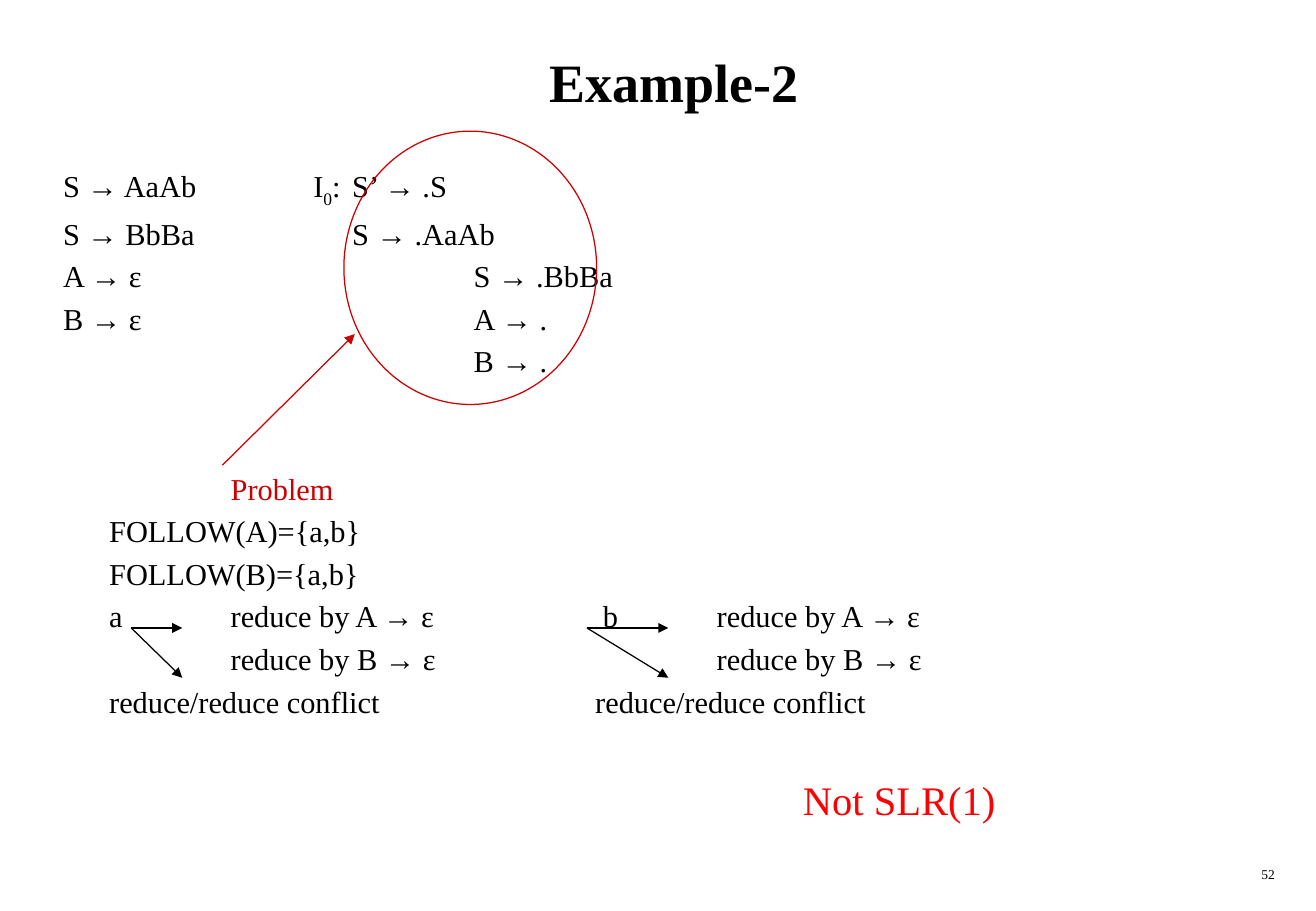
from pptx import Presentation
from pptx.dml.color import RGBColor as RGB
from pptx.enum.shapes import MSO_CONNECTOR as Conn, MSO_SHAPE as Shape
from pptx.enum.text import MSO_ANCHOR as Anchor, PP_ALIGN as Align
from pptx.oxml.ns import qn
from pptx.util import Inches, Pt
from lxml import etree

BLACK, DARK, RED = "000000", "CC0000", "FF0000"

deck = Presentation()
deck.slide_width, deck.slide_height = Inches(10.83), Inches(7.5)
slide = deck.slides.add_slide(deck.slide_layouts[6])


def frame(x, y, w, h):
    text = slide.shapes.add_textbox(*map(Inches, (x, y, w, h))).text_frame
    text.word_wrap = True
    return text


def write(para, text, size, color=BLACK):
    run = para.add_run()
    run.text = text
    font = run.font
    font.name, font.size = "Times New Roman", Pt(size)
    font.color.rgb = RGB.from_string(color)
    return font


number = frame(8.33, 7.08, 2.26, 0.25).paragraphs[0]
number.alignment = Align.RIGHT
write(number, "52", 8)

title = frame(0.42, 0.17, 10.25, 1)
title.vertical_anchor = Anchor.MIDDLE
title.paragraphs[0].alignment = Align.CENTER
write(title.paragraphs[0], "Example-2", 32).bold = True

body = frame(0.42, 1.33, 10.25, 5.58)
near, far = [2.38], [3.38]
split = [0.38, 1.38, 4.38, 5.38]
lines = [
    (["S → AaAb\tI", "0", ":\tS’ → .S"], [2.06, 2.38]),
    (["S → BbBa\tS → .AaAb"], near),
    (["A → ε\tS → .BbBa"], far),
    (["B → ε\tA → ."], far),
    (["\tB → ."], far),
    (["\tProblem"], [1.38]),
    (["\tFOLLOW(A)={a,b}"], split),
    (["\tFOLLOW(B)={a,b}"], split),
    (["\ta\treduce by A → ε\t b\treduce by A → ε"], split),
    (["\treduce by B → ε\treduce by B → ε"], split[1::2]),
    (["\treduce/reduce conflict\treduce/reduce conflict"], split[::2]),
]
for i, (parts, stops) in enumerate(lines):
    para = body.add_paragraph() if i else body.paragraphs[0]
    tabs = etree.SubElement(para._p.get_or_add_pPr(), qn("a:tabLst"))
    for stop in stops:
        etree.SubElement(tabs, qn("a:tab"), pos=str(Inches(stop)), algn="l")
    alert = parts == ["\tProblem"]
    if i:
        para.space_before = Pt(54 if alert else 3.6)
    for part in parts:
        font = write(para, part, 18, DARK if alert else BLACK)
        if part == "0":
            font._element.set("baseline", "-25000")

ring = slide.shapes.add_shape(Shape.OVAL, *map(Inches, (2.83, 1.08, 2.08, 2.25)))
ring.shadow.inherit = False
ring.fill.background()
ring.line.color.rgb = RGB.from_string(DARK)
ring.line.width = Pt(0.75)

arrows = [(1.83, 3.83, 2.92, 2.75, DARK)]
for left, right in [(1.08, 1.5), (4.83, 5.5)]:
    for end in (5.17, 5.58):
        arrows.append((left, 5.17, right, end, BLACK))
for *ends, color in arrows:
    arrow = slide.shapes.add_connector(Conn.STRAIGHT, *map(Inches, ends))
    arrow.line.color.rgb = RGB.from_string(color)
    arrow.line.width = Pt(0.75)
    etree.SubElement(arrow.line._get_or_add_ln(), qn("a:tailEnd"), type="triangle")
    etree.SubElement(arrow._element.spPr, qn("a:effectLst"))

write(frame(6.51, 6.33, 2.5, 0.51).paragraphs[0], "Not SLR(1)", 24, RED)

deck.save("out.pptx")
